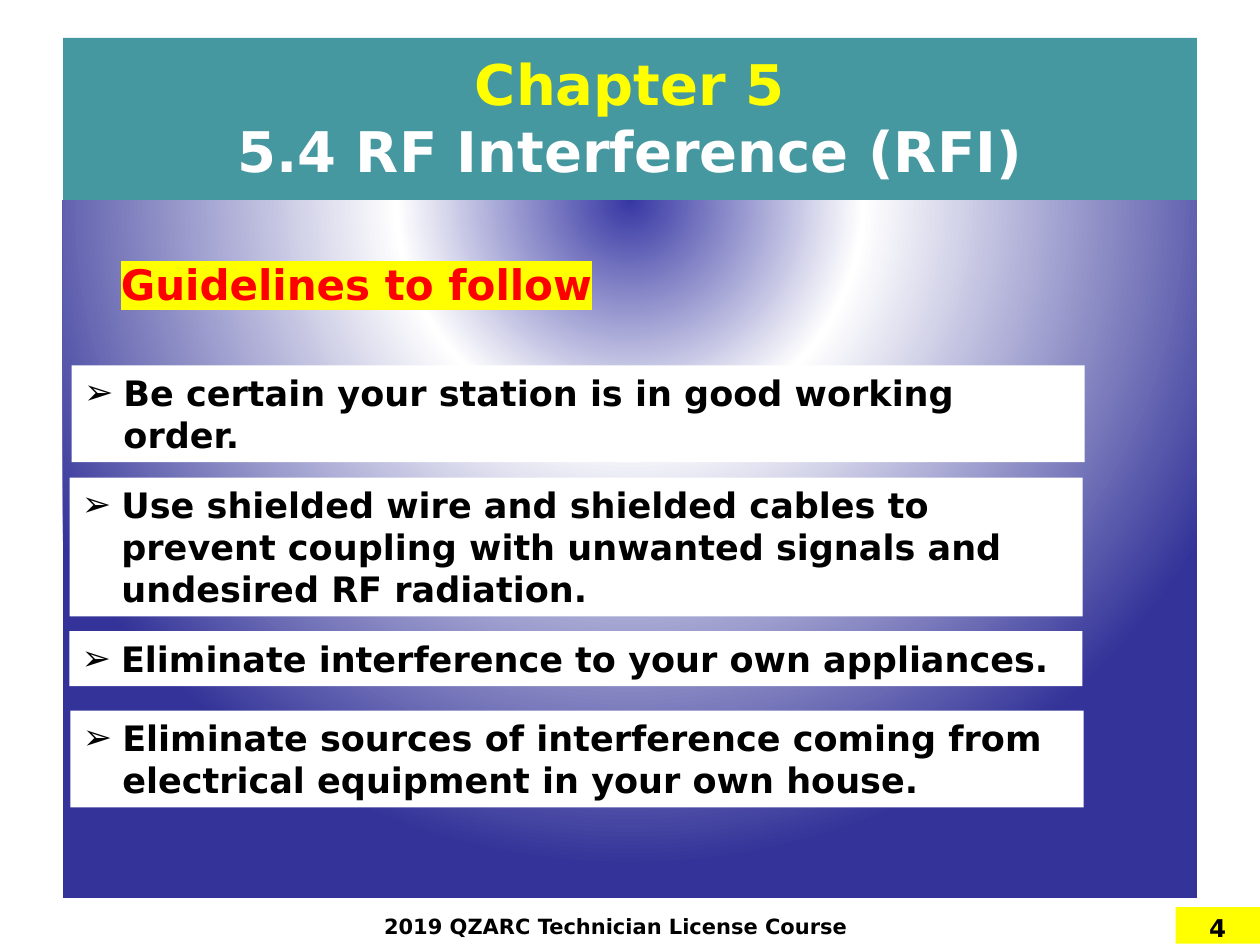
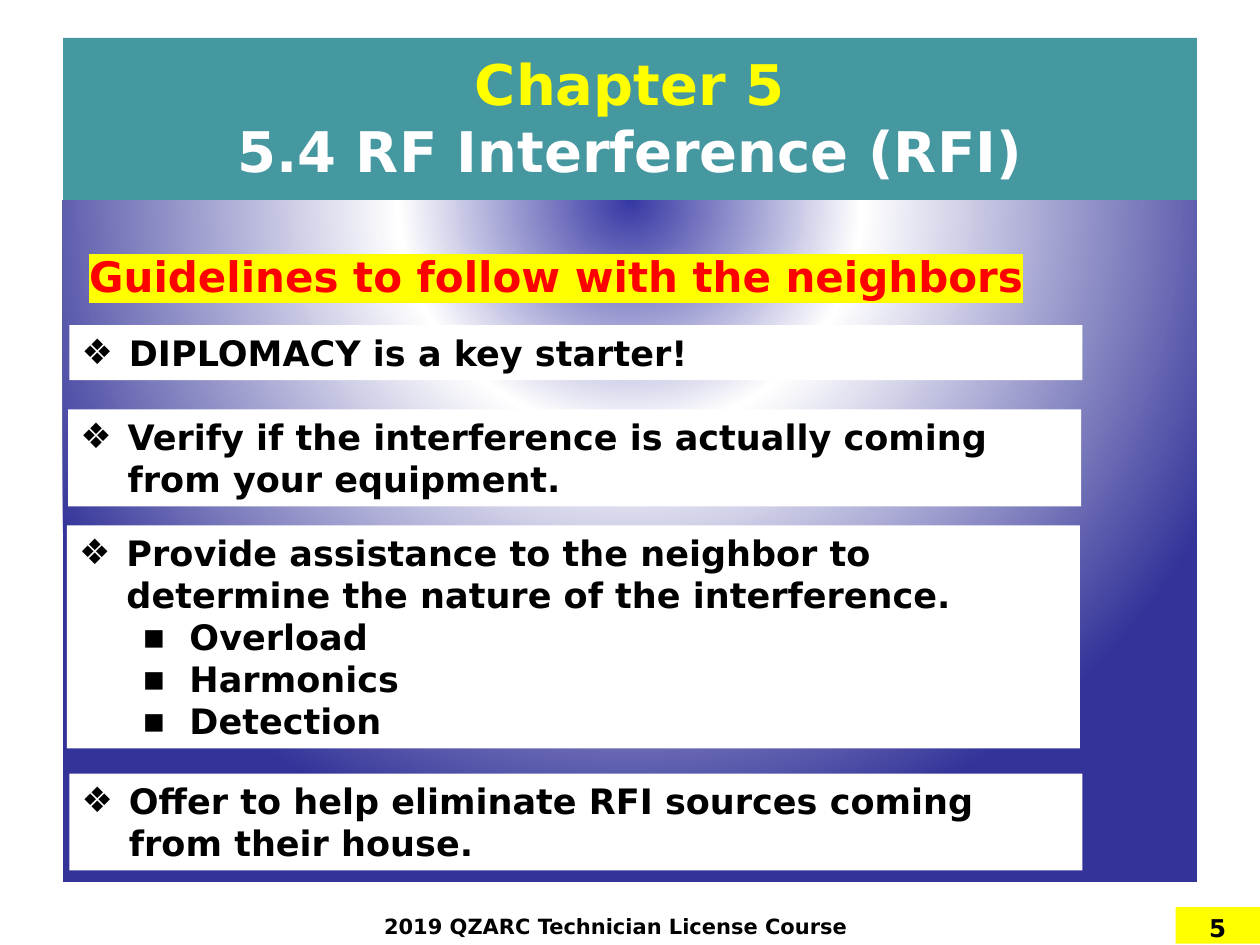
from lxml import etree
from pptx import Presentation
from pptx.dml.color import RGBColor
from pptx.enum.shapes import MSO_SHAPE
from pptx.enum.text import MSO_ANCHOR, MSO_AUTO_SIZE, PP_ALIGN
from pptx.oxml import parse_xml
from pptx.oxml.ns import nsdecls, qn
from pptx.util import Pt

RECTANGLE = MSO_SHAPE.RECTANGLE
TOP = MSO_ANCHOR.TOP
CENTER, LEFT = PP_ALIGN.CENTER, PP_ALIGN.LEFT
GROW, FIXED = MSO_AUTO_SIZE.SHAPE_TO_FIT_TEXT, MSO_AUTO_SIZE.NONE

FONT = "DejaVu Sans"
BLACK, WHITE, YELLOW, RED, TEAL = "000000", "FFFFFF", "FFFF00", "FF0000", "4597A0"
PANEL_STOPS = [(0, "3737A4"), (35, WHITE), (100, "333399")]

SLIDE_WIDTH, SLIDE_HEIGHT = 720, 540
TITLE_BOX = (36, 21.6, 648, 92.9)
PANEL_LEFT, PANEL_TOP, PANEL_WIDTH = 36, 114.5, 648
FOOTER_BOX = (212.4, 518.4, 295.2, 21.6)
NUMBER_BOX = (671.76, 518.4, 48.24, 20.9)
CARD_WIDTH, LINE_HEIGHT, CARD_PADDING = 578.9, 24, 7.4
SUB_BULLET, SUB_MARGIN, SUB_HANGING = "▪", 63, 27

# Card: left and top within the panel, wrapped lines, text, sub-items.
# Heading: left, top and width within the panel, then text.
SLIDES = [
    {
        "number": "4",
        "panel_height": 398.9,
        "heading": (0, 29.5, 335.5, "Guidelines to follow"),
        "bullet": ("➢", 22.5),
        "cards": [
            (5, 94.3, 2, "Be certain your station is in good working order.", []),
            (3.8, 158.4, 3, "Use shielded wire and shielded cables to prevent coupling "
             "with unwanted signals and undesired RF radiation.", []),
            (3.6, 246.2, 1, "Eliminate interference to your own appliances.", []),
            (4.3, 291.6, 2, "Eliminate sources of interference coming from electrical "
             "equipment in your own house.", []),
        ],
    },
    {
        "number": "5",
        "panel_height": 389.5,
        "heading": (2.9, 25.2, 558, "Guidelines to follow with the neighbors"),
        "bullet": ("❖", 27),
        "cards": [
            (3.6, 71.3, 1, "DIPLOMACY is a key starter!", []),
            (2.9, 119.5, 2, "Verify if the interference is actually coming from your "
             "equipment.", []),
            (2.2, 185.8, 2, "Provide assistance to the neighbor to determine the nature "
             "of the interference.", ["Overload", "Harmonics", "Detection"]),
            (3.6, 327.6, 2, "Offer to help eliminate RFI sources coming from their "
             "house.", []),
        ],
    },
]


def color(hex_string):
    """Turn a hex string into a colour."""
    return RGBColor.from_string(hex_string)


def fill_solid(shape, hex_string):
    """Give a shape a plain fill."""
    shape.fill.solid()
    shape.fill.fore_color.rgb = color(hex_string)


def style_font(font, size, hex_string=None):
    """Set the bold deck font, with a colour where one is given."""
    font.name, font.size, font.bold = FONT, Pt(size), True
    if hex_string:
        font.color.rgb = color(hex_string)


def add_text(slide, box, text, size, align=LEFT, fill=None, auto_size=FIXED):
    """Add a wrapping text box with one paragraph in black."""
    shape = slide.shapes.add_textbox(*map(Pt, box))
    if fill:
        fill_solid(shape, fill)
    frame = shape.text_frame
    frame.word_wrap, frame.auto_size, frame.vertical_anchor = True, auto_size, TOP
    paragraph = frame.paragraphs[0]
    paragraph.text, paragraph.alignment = text, align
    style_font(paragraph.font, size, BLACK)
    return shape


def set_bullet(paragraph, character, margin, hanging):
    """Give a paragraph a hanging bullet."""
    properties = paragraph._p.get_or_add_pPr()
    properties.set("marL", str(Pt(margin)))
    properties.set("indent", str(-Pt(hanging)))
    properties.insert(0, parse_xml(f'<a:buFont {nsdecls("a")} typeface="{FONT}"/>'))
    properties.insert(1, parse_xml(f'<a:buChar {nsdecls("a")} char="{character}"/>'))


def add_panel(slide, box):
    """Add the body panel with a circular gradient."""
    panel = slide.shapes.add_shape(RECTANGLE, *map(Pt, box))
    panel.shadow.inherit = False
    panel.line.fill.background()
    stops = "".join(
        f'<a:gs pos="{position * 1000}"><a:srgbClr val="{value}"/></a:gs>'
        for position, value in PANEL_STOPS)
    gradient = parse_xml(
        f'<a:gradFill {nsdecls("a")} rotWithShape="1"><a:gsLst>{stops}</a:gsLst>'
        '<a:path path="circle"><a:fillToRect l="50000" t="-80000" r="50000" b="180000"/>'
        '</a:path></a:gradFill>')
    panel._element.spPr.find(qn("a:prstGeom")).addnext(gradient)


def format_title(slide, box):
    """Place the title band and write its two lines."""
    title = slide.shapes.title
    title.left, title.top, title.width, title.height = map(Pt, box)
    fill_solid(title, TEAL)
    frame = title.text_frame
    frame.word_wrap, frame.auto_size, frame.vertical_anchor = True, FIXED, TOP
    frame.margin_top = Pt(6.4)
    paragraph = frame.paragraphs[0]
    paragraph.alignment = CENTER
    style_font(paragraph.font, 32)
    first = paragraph.add_run()
    first.text, first.font.color.rgb = "Chapter 5", color(YELLOW)
    paragraph.add_line_break()
    second = paragraph.add_run()
    second.text, second.font.color.rgb = "5.4 RF Interference (RFI)", color(WHITE)


def add_heading(slide, box, text):
    """Add the red heading on a yellow highlight."""
    shape = add_text(slide, box, text, 24, CENTER, auto_size=GROW)
    run = shape.text_frame.paragraphs[0].runs[0]
    style_font(run.font, 24, RED)
    highlight = etree.Element(qn("a:highlight"))
    etree.SubElement(highlight, qn("a:srgbClr")).set("val", YELLOW)
    run._r.rPr.find(qn("a:solidFill")).addnext(highlight)


def add_card(slide, left, top, lines, text, sub_items, bullet):
    """Add a white card with a bulleted guideline and its sub-items."""
    height = (lines + len(sub_items)) * LINE_HEIGHT + CARD_PADDING
    box = (left, top, CARD_WIDTH, height)
    frame = add_text(slide, box, text, 20, fill=WHITE, auto_size=GROW).text_frame
    character, hanging = bullet
    set_bullet(frame.paragraphs[0], character, hanging, hanging)
    for item in sub_items:
        paragraph = frame.add_paragraph()
        paragraph.text, paragraph.level = item, 1
        style_font(paragraph.font, 20, BLACK)
        set_bullet(paragraph, SUB_BULLET, SUB_MARGIN, SUB_HANGING)


def add_footer(slide, number):
    """Add the page number tab and the course name."""
    add_text(slide, NUMBER_BOX, number, 14, CENTER, fill=YELLOW)
    add_text(slide, FOOTER_BOX, "2019 QZARC Technician License Course", 12)


def add_guidelines_slide(presentation, content):
    """Build one slide of guidelines."""
    slide = presentation.slides.add_slide(presentation.slide_layouts[5])
    add_panel(slide, (PANEL_LEFT, PANEL_TOP, PANEL_WIDTH, content["panel_height"]))
    format_title(slide, TITLE_BOX)
    left, top, width, text = content["heading"]
    add_heading(slide, (PANEL_LEFT + left, PANEL_TOP + top, width, 36), text)
    for left, top, lines, text, sub_items in content["cards"]:
        add_card(slide, PANEL_LEFT + left, PANEL_TOP + top, lines, text, sub_items,
                 content["bullet"])
    add_footer(slide, content["number"])


def main():
    """Build and save the presentation."""
    presentation = Presentation()
    presentation.slide_width = Pt(SLIDE_WIDTH)
    presentation.slide_height = Pt(SLIDE_HEIGHT)
    for content in SLIDES:
        add_guidelines_slide(presentation, content)
    presentation.save("out.pptx")


main()
